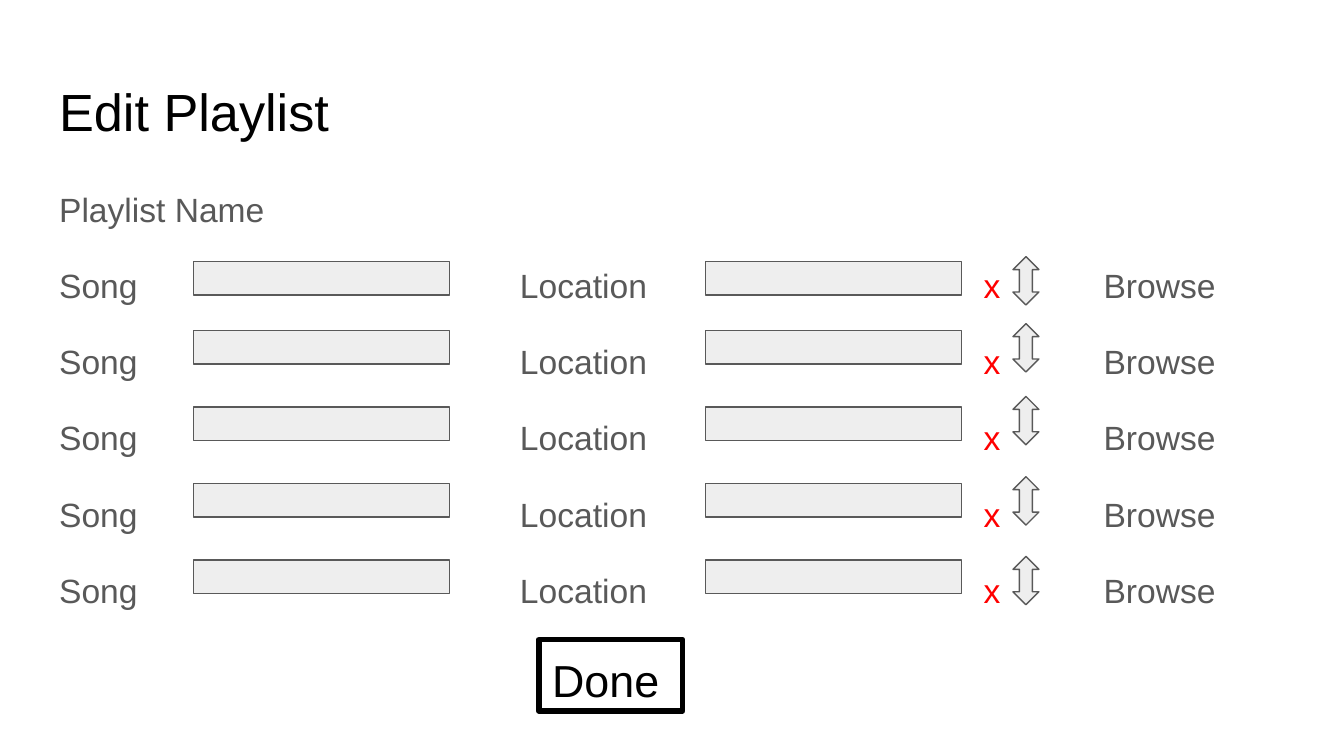
from pptx import Presentation
from pptx.dml.color import RGBColor
from pptx.enum import shapes, text
from pptx.oxml import xmlchemy
from pptx.util import Pt

BLACK = RGBColor(0x00, 0x00, 0x00)
GREY = RGBColor(0x59, 0x59, 0x59)
PALE = RGBColor(0xEE, 0xEE, 0xEE)
RED = RGBColor(0xFF, 0x00, 0x00)
FONT = "Arial"
INSET = 7.2

# Vertical positions of the five song rows
BAR_TOPS = (140, 177.1, 218, 259, 300)
ARROW_TOPS = (137.5, 173.4, 212.4, 255.4, 298.1)
ROWS = len(BAR_TOPS)


def place(shape, box):
    shape.left, shape.top, shape.width, shape.height = map(Pt, box)


def prepare_frame(shape):
    frame = shape.text_frame
    frame.word_wrap = True
    frame.auto_size = text.MSO_AUTO_SIZE.NONE
    frame.vertical_anchor = text.MSO_ANCHOR.TOP
    frame.margin_left = frame.margin_right = Pt(INSET)
    frame.margin_top = frame.margin_bottom = Pt(INSET)
    return frame


def add_span(para, words, size, color):
    para.alignment = text.PP_ALIGN.LEFT
    span = para.add_run()
    span.text = words
    span.font.name = FONT
    span.font.size = Pt(size)
    span.font.color.rgb = color


def format_list_para(para):
    para.line_spacing = 1.15
    para.space_before = Pt(0)
    para.space_after = Pt(16)
    # No bullet or indent
    props = para._p.get_or_add_pPr()
    props.set("marL", "0")
    props.set("indent", "0")
    props.append(xmlchemy.OxmlElement("a:buNone"))


def fill_title(holder, box):
    place(holder, box)
    para = prepare_frame(holder).paragraphs[0]
    add_span(para, "Edit Playlist", 28, BLACK)


def fill_column(holder, box, lines, color=GREY):
    place(holder, box)
    frame = prepare_frame(holder)
    for number, words in enumerate(lines):
        para = frame.add_paragraph() if number else frame.paragraphs[0]
        format_list_para(para)
        add_span(para, words, 18, color)


def add_column(page, box, words, color=GREY):
    holder = page.shapes.add_textbox(*map(Pt, box))
    fill_column(holder, box, [words] * ROWS, color)


def add_control(page, kind, box):
    shape = page.shapes.add_shape(kind, *map(Pt, box))
    shape.shadow.inherit = False
    shape.fill.solid()
    shape.fill.fore_color.rgb = PALE
    shape.line.color.rgb = GREY
    shape.line.width = Pt(0.75)


def add_done_button(page, box):
    button = page.shapes.add_shape(shapes.MSO_SHAPE.RECTANGLE, *map(Pt, box))
    button.shadow.inherit = False
    button.fill.background()
    button.line.color.rgb = BLACK
    button.line.width = Pt(3)
    # Rounded corners on the outline
    outline = button.element.xpath("./p:spPr/a:ln")[0]
    outline.append(xmlchemy.OxmlElement("a:round"))
    para = prepare_frame(button).paragraphs[0]
    add_span(para, "Done", 24, BLACK)


def build_slide(deck):
    page = deck.slides.add_slide(deck.slide_layouts.get_by_name("Two Content"))
    holders = {h.placeholder_format.idx: h for h in page.placeholders}

    # Title and text columns
    fill_title(holders[0], (24.5, 35.3, 671, 45.4))
    fill_column(holders[1], (24.5, 90.7, 671, 269.3),
                ["Playlist Name"] + ["Song"] * ROWS)
    fill_column(holders[2], (584, 131.5, 98.6, 211.7), ["Browse"] * ROWS)
    add_column(page, (271.5, 131.5, 100, 211.7), "Location")
    add_column(page, (519.8, 131.5, 24, 211.7), "x", RED)

    # Entry fields and reorder arrows
    for top in BAR_TOPS:
        for left in (103.7, 378):
            add_control(page, shapes.MSO_SHAPE.RECTANGLE, (left, top, 137, 18))
    for top in ARROW_TOPS:
        add_control(page, shapes.MSO_SHAPE.UP_DOWN_ARROW, (542.7, top, 13.9, 25.9))

    add_done_button(page, (288.7, 342.7, 77, 38.2))


def main():
    deck = Presentation()
    deck.slide_width, deck.slide_height = Pt(720), Pt(405)
    build_slide(deck)
    deck.save("out.pptx")


if __name__ == "__main__":
    main()
